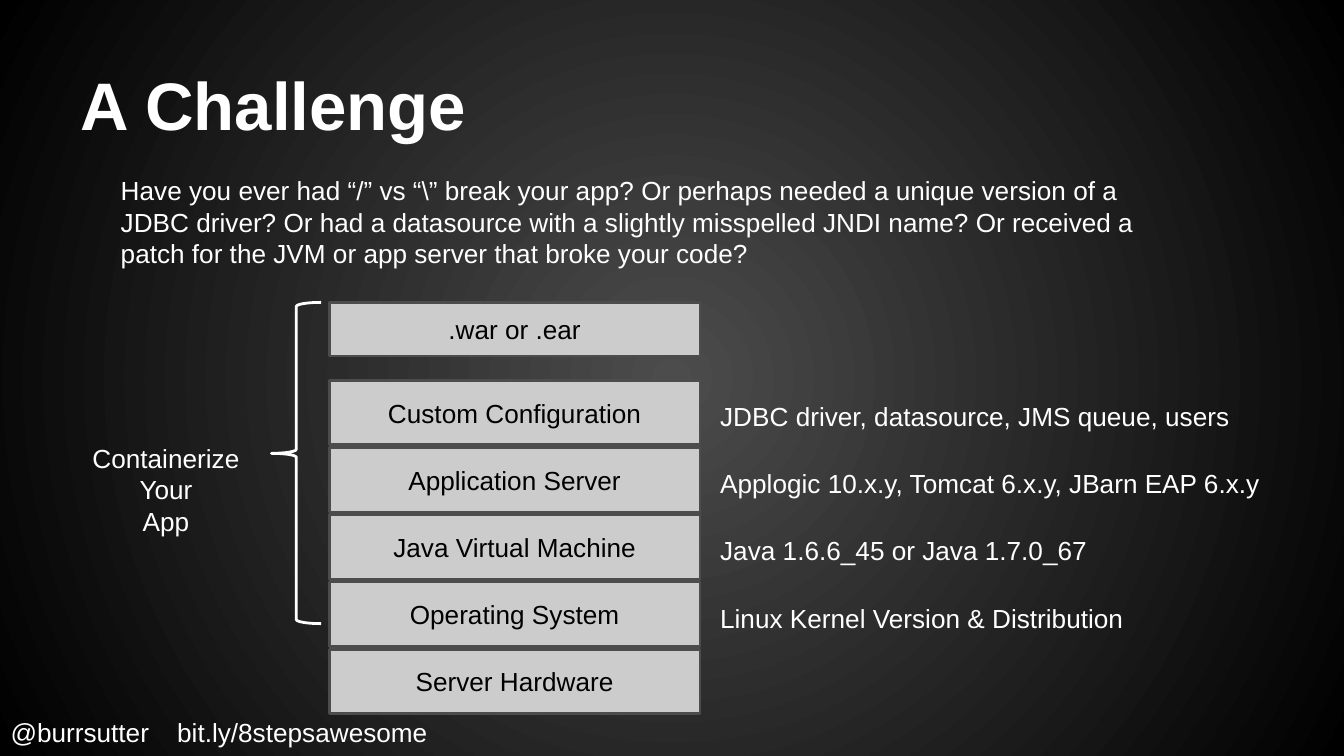
import pptx
import pptx.util
import pptx.dml.color
import pptx.enum.shapes
import pptx.enum.text
import pptx.oxml
from pptx.util import Inches

COLORS = {"text": "FFFFFF", "box": "CCCCCC", "edge": "4C4C4C", "box_text": "000000",
          "glow": "4C4C4C", "dark": "000000"}
ALIGN = pptx.enum.text.PP_ALIGN
ANCHOR = pptx.enum.text.MSO_ANCHOR
SHAPE = pptx.enum.shapes.MSO_SHAPE
NS = 'xmlns:a="http://schemas.openxmlformats.org/drawingml/2006/main"'


def rgb(name):
    return pptx.dml.color.RGBColor.from_string(COLORS[name])


def write(shape, text, color="text", size=14, bold=False, align=ALIGN.LEFT, anchor=ANCHOR.TOP):
    frame = shape.text_frame
    frame.text = text
    frame.word_wrap = True
    frame.auto_size = pptx.enum.text.MSO_AUTO_SIZE.NONE
    frame.vertical_anchor = anchor
    frame.margin_left = frame.margin_right = Inches(0.1)
    frame.margin_top = frame.margin_bottom = Inches(0.1)
    for paragraph in frame.paragraphs:
        paragraph.alignment = align
        for run in paragraph.runs:
            run.font.name = "Arial"
            run.font.size = pptx.util.Pt(size)
            run.font.bold = bold
            run.font.color.rgb = rgb(color)


# Widescreen 16:9 slide
deck = pptx.Presentation()
deck.slide_width = Inches(10)
deck.slide_height = Inches(10 * 9 / 16)
slide = deck.slides.add_slide(deck.slide_layouts[5])
shapes = slide.shapes

# Background: round glow from the centre
background = slide.background.fill
background.gradient()
for stop, position, color in zip(background.gradient_stops, (0, 1), ("glow", "dark")):
    stop.position = position
    stop.color.rgb = rgb(color)
linear = slide.element.find(".//" + pptx.oxml.ns.qn("a:lin"))
linear.getparent().replace(linear, pptx.oxml.parse_xml(
    f'<a:path {NS} path="circle"><a:fillToRect l="50000" t="50000" r="50000" b="50000"/></a:path>'))

# Title and question
title = shapes.title
title.left, title.top, title.width, title.height = Inches(0.5), Inches(0.23), Inches(9), Inches(0.94)
write(title, "A Challenge", size=36, bold=True, anchor=ANCHOR.BOTTOM)

question = shapes.add_textbox(Inches(0.8), Inches(1.2), Inches(8.12), Inches(0.83))
write(question, "Have you ever had “/” vs “\\” break your app? Or perhaps needed a unique version "
      "of a JDBC driver? Or had a datasource with a slightly misspelled JNDI name? "
      "Or received a patch for the JVM or app server that broke your code?")

# Stack of layers with their examples; the archive sits apart on top
layers = [
    ("Custom Configuration", "JDBC driver, datasource, JMS queue, users"),
    ("Application Server", "Applogic 10.x.y, Tomcat 6.x.y, JBarn EAP 6.x.y"),
    ("Java Virtual Machine", "Java 1.6.6_45 or Java 1.7.0_67"),
    ("Operating System", "Linux Kernel Version & Distribution"),
    ("Server Hardware", None),
]
stack = [(".war or .ear", None, 2.25, 0.4)]
stack += [(name, example, 2.83 + 0.5 * row, 0.48) for row, (name, example) in enumerate(layers)]
for name, example, top, height in stack:
    layer = shapes.add_shape(SHAPE.RECTANGLE, Inches(2.45), Inches(top), Inches(2.76), Inches(height))
    layer.shadow.inherit = False
    layer.fill.solid()
    layer.fill.fore_color.rgb = rgb("box")
    layer.line.color.rgb = rgb("edge")
    layer.line.width = pptx.util.Pt(1.5)
    write(layer, name, "box_text", align=ALIGN.CENTER, anchor=ANCHOR.MIDDLE)
    if example:
        versions = shapes.add_textbox(Inches(5.26), Inches(top + 0.05), Inches(4.48), Inches(0.33))
        write(versions, example)

# Brace over the containerized layers
brace = shapes.add_shape(SHAPE.LEFT_BRACE, Inches(2.02), Inches(2.25), Inches(0.37), Inches(2.39))
brace.shadow.inherit = False
brace.adjustments[0], brace.adjustments[1] = 0.08, 0.47
brace.fill.background()
brace.line.color.rgb = rgb("text")
brace.line.width = pptx.util.Pt(1.5)

containerize = shapes.add_textbox(Inches(0.14), Inches(3.19), Inches(2.19), Inches(0.64))
write(containerize, "Containerize\nYour\nApp", align=ALIGN.CENTER)

# Footer: handle and link, parted by a tab stop
footer = shapes.add_textbox(Inches(-0.02), Inches(5.23), Inches(3.42), Inches(0.4))
write(footer, "@burrsutter\tbit.ly/8stepsawesome")
footer.text_frame.paragraphs[0]._p.get_or_add_pPr().append(pptx.oxml.parse_xml(
    f'<a:tabLst {NS}><a:tab pos="{Inches(1.24)}" algn="l"/></a:tabLst>'))

deck.save("out.pptx")
